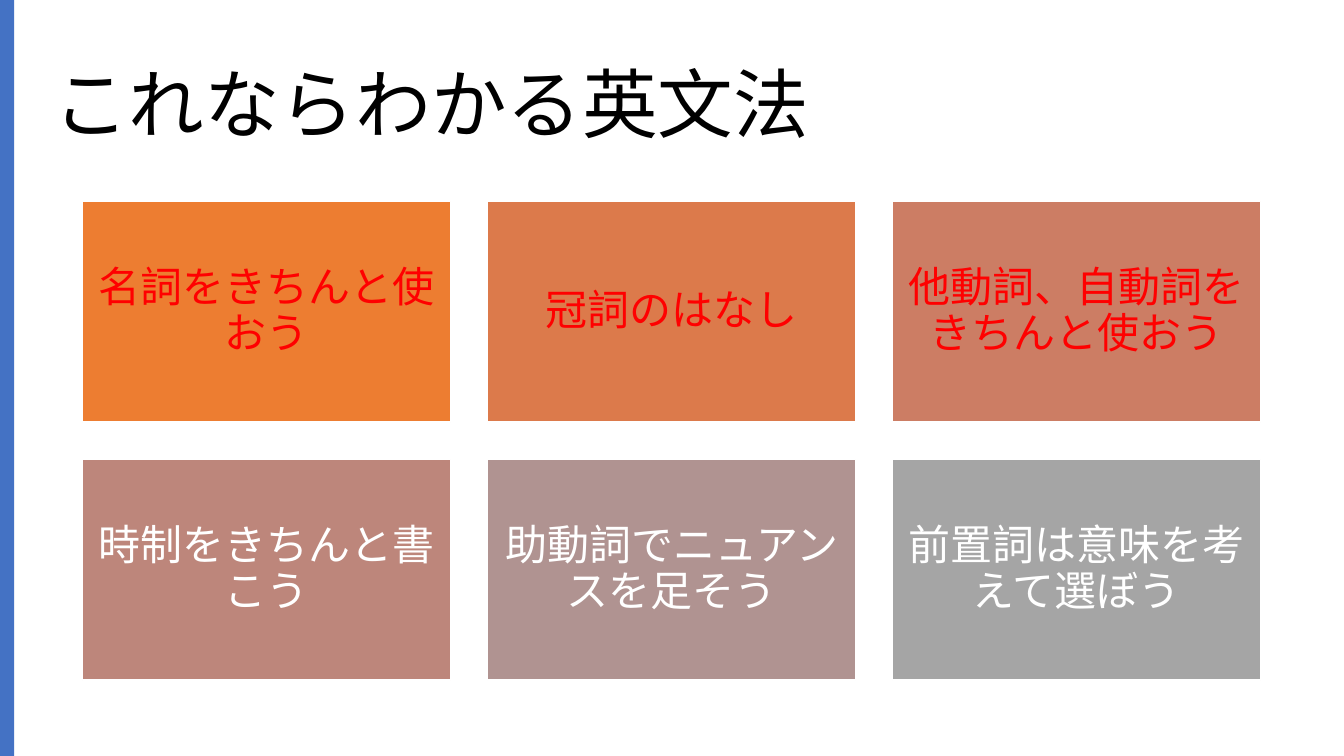
import pptx
import pptx.dml.color
import pptx.enum.shapes
import pptx.enum.text
import pptx.oxml.ns
import pptx.util
from lxml import etree

Cm = pptx.util.Cm
Pt = pptx.util.Pt
ALIGN = pptx.enum.text.PP_ALIGN

WIDE, HIGH = 33.87, 19.05
CARDS = [
    ("名詞をきちんと使おう", "ED7D31", "FF0000"),
    ("冠詞のはなし", "DC7A4B", "FF0000"),
    ("他動詞、自動詞をきちんと使おう", "CC7D64", "FF0000"),
    ("時制をきちんと書こう", "BD867B", "FFFFFF"),
    ("助動詞でニュアンスを足そう", "B09391", "FFFFFF"),
    ("前置詞は意味を考えて選ぼう", "A5A5A5", "FFFFFF"),
]


def color(text):
    return pptx.dml.color.RGBColor.from_string(text)


class Deck:
    font = "Noto Sans CJK JP"

    def __init__(self):
        self.file = pptx.Presentation()
        self.file.slide_width, self.file.slide_height = Cm(WIDE), Cm(HIGH)
        self.slide = self.file.slides.add_slide(self.file.slide_layouts[6])

    def label(self, shape, text, size, ink, align):
        frame = shape.text_frame
        frame.text = text
        frame.word_wrap = True
        frame.vertical_anchor = pptx.enum.text.MSO_ANCHOR.MIDDLE
        para = frame.paragraphs[0]
        para.alignment = align
        para.line_spacing = 0.9
        run = para.runs[0]
        run.font.size = Pt(size)
        run.font.color.rgb = color(ink)
        run.font.name = self.font
        # Japanese glyphs take the East Asian typeface
        props = run._r.get_or_add_rPr()
        etree.SubElement(props, pptx.oxml.ns.qn("a:ea"), typeface=self.font)

    def title(self, text, *box):
        shape = self.slide.shapes.add_textbox(*map(Cm, box))
        self.label(shape, text, 54, "000000", ALIGN.LEFT)

    def rect(self, fill, *box):
        kind = pptx.enum.shapes.MSO_SHAPE.RECTANGLE
        shape = self.slide.shapes.add_shape(kind, *map(Cm, box))
        shape.shadow.inherit = False
        shape.fill.solid()
        shape.fill.fore_color.rgb = color(fill)
        shape.line.fill.background()
        return shape

    def card(self, text, fill, ink, *box):
        shape = self.rect(fill, *box)
        shape.line.color.rgb = color("FFFFFF")
        shape.line.width = Pt(1)
        frame = shape.text_frame
        frame.margin_left = frame.margin_right = Cm(0.3)
        frame.margin_top = frame.margin_bottom = Cm(0.3)
        self.label(shape, text, 30, ink, ALIGN.CENTER)


def main():
    deck = Deck()
    deck.title("これならわかる英文法", 1.09, 0.89, 31.7, 3.68)
    deck.rect("4472C4", 0, 0, 0.36, HIGH)
    wide, high, gap = 9.27, 5.56, 0.94
    for i, (text, fill, ink) in enumerate(CARDS):
        row, col = divmod(i, 3)
        left = 2.08 + col * (wide + gap)
        top = 5.08 + row * (high + gap)
        deck.card(text, fill, ink, left, top, wide, high)
    deck.file.save("out.pptx")


if __name__ == "__main__":
    main()
